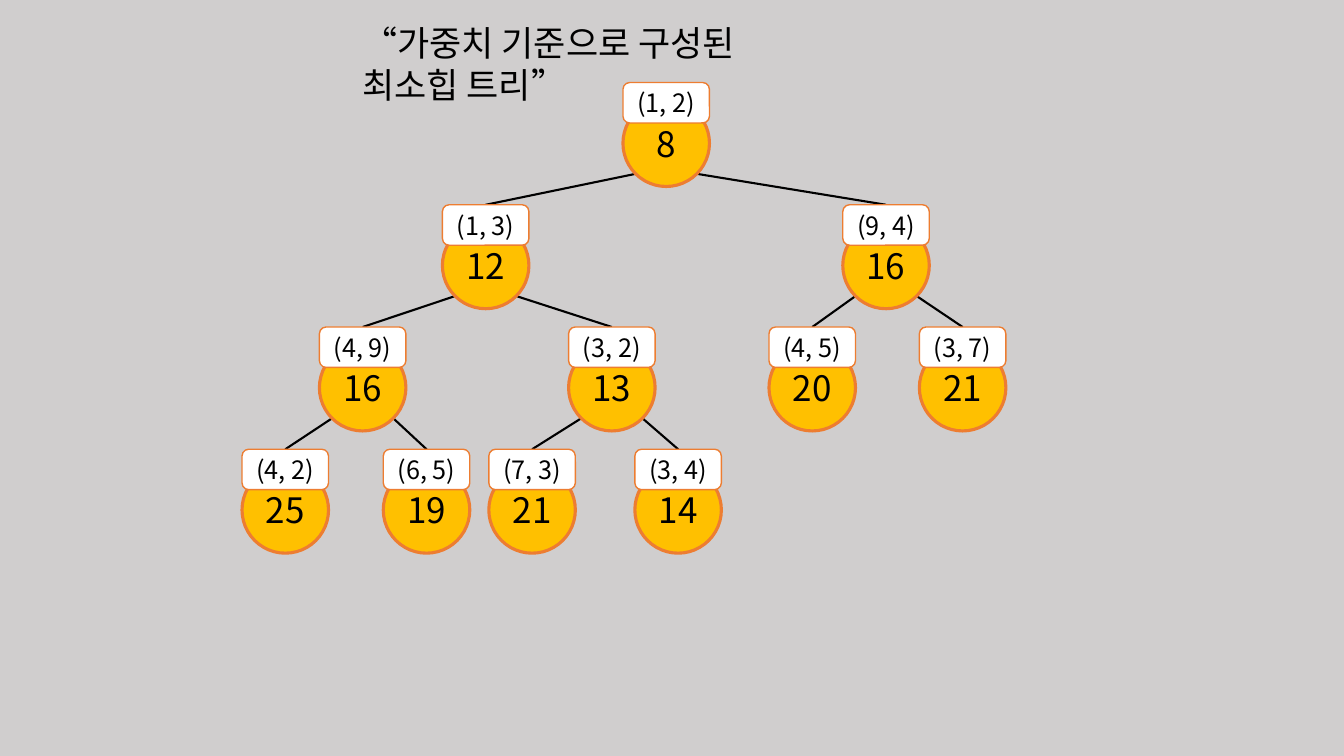
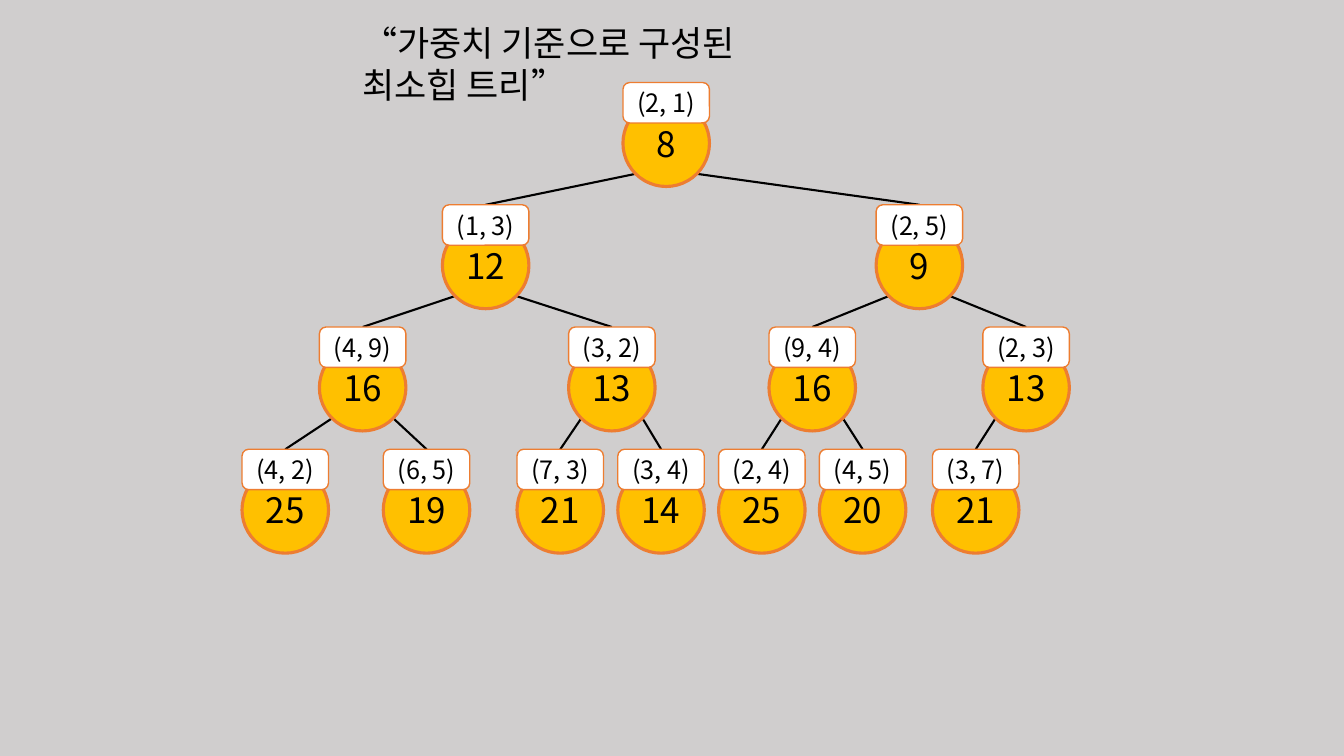
from math import cos, pi

from lxml import etree
from pptx import Presentation
from pptx.dml.color import RGBColor
from pptx.enum.shapes import MSO_CONNECTOR, MSO_SHAPE
from pptx.enum.text import MSO_ANCHOR, PP_ALIGN
from pptx.oxml.ns import qn
from pptx.util import Cm, Pt

LINE = MSO_CONNECTOR.STRAIGHT
CIRCLE = MSO_SHAPE.OVAL
TAG = MSO_SHAPE.ROUNDED_RECTANGLE
MIDDLE = MSO_ANCHOR.MIDDLE
LEFT = PP_ALIGN.LEFT
CENTER = PP_ALIGN.CENTER

GRAY = RGBColor(0xD0, 0xCE, 0xCE)
BLACK = RGBColor(0, 0, 0)
WHITE = RGBColor(0xFF, 0xFF, 0xFF)
GOLD = RGBColor(0xFF, 0xC0, 0x00)
ORANGE = RGBColor(0xED, 0x7D, 0x31)

FONT = "Noto Sans CJK KR"
TITLE = "“가중치 기준으로 구성된 최소힙 트리”"

FIRST_TOP = 2.08
LEVEL_STEP = 3.08
DIAMETER = 2.18
TAG_HEIGHT = 1.02
CIRCLE_DROP = 0.44
EDGE_REACH = DIAMETER / 2 * cos(pi / 4)

LEAF_START = 14.12
LEAF_STEP = 2.54

FIRST_HEAP = [
    (16.79, 8, (1, 2)),
    (12.24, 12, (1, 3)),
    (22.33, 16, (9, 4)),
    (9.14, 16, (4, 9)),
    (15.42, 13, (3, 2)),
    (20.47, 20, (4, 5)),
    (24.26, 21, (3, 7)),
    (7.19, 25, (4, 2)),
    (10.75, 19, (6, 5)),
    (13.41, 21, (7, 3)),
    (17.09, 14, (3, 4)),
]
LEAVES = [(21, (7, 3)), (14, (3, 4)), (25, (2, 4)), (20, (4, 5))]
SECOND_HEAP = [
    (16.79, 8, (2, 1)),
    FIRST_HEAP[1],
    (23.17, 9, (2, 5)),
    *FIRST_HEAP[3:5],
    (20.47, 16, (9, 4)),
    (25.86, 13, (2, 3)),
    *FIRST_HEAP[7:9],
    *[(LEAF_START + i * LEAF_STEP, *leaf) for i, leaf in enumerate(LEAVES)],
    (24.59, 21, (3, 7)),
]


def write(tf, text, size=25, color=BLACK, align=LEFT):
    tf.word_wrap = True
    p = tf.paragraphs[0]
    p.alignment = align
    r = p.add_run()
    r.text = text
    r.font.size = Pt(size)
    r.font.name = FONT
    r.font.color.rgb = color
    ea = etree.SubElement(r.font._element, qn("a:ea"))
    ea.set("typeface", FONT)


def level_top(index):
    return FIRST_TOP + LEVEL_STEP * ((index + 1).bit_length() - 1)


class Deck:
    def __init__(self):
        self.prs = Presentation()
        self.prs.slide_width = Cm(33.87)
        self.prs.slide_height = Cm(19.05)
        self.s = None

    def slide(self):
        self.s = self.prs.slides.add_slide(self.prs.slide_layouts[6])
        fill = self.s.background.fill
        fill.solid()
        fill.fore_color.rgb = GRAY

    def title(self, text):
        sp = self.s.shapes.add_textbox(Cm(8.89), Cm(0.43), Cm(12.09), Cm(1.32))
        write(sp.text_frame, text)

    def edge(self, x1, y1, x2, y2):
        cx = self.s.shapes.add_connector(LINE, Cm(x1), Cm(y1), Cm(x2), Cm(y2))
        cx.line.color.rgb = BLACK
        cx.line.width = Pt(1.5)
        etree.SubElement(cx._element.spPr, qn("a:effectLst"))

    def shape(self, group, kind, x, y, height, text, fill, width, size):
        sp = group.shapes.add_shape(
            kind, Cm(x - DIAMETER / 2), Cm(y), Cm(DIAMETER), Cm(height))
        sp.shadow.inherit = False
        sp.fill.solid()
        sp.fill.fore_color.rgb = fill
        sp.line.color.rgb = ORANGE
        sp.line.width = Pt(width)
        tf = sp.text_frame
        tf.margin_left = tf.margin_right = tf.margin_top = tf.margin_bottom = 0
        tf.vertical_anchor = MIDDLE
        write(tf, text, size=size, align=CENTER)

    def node(self, x, y, weight, ends):
        group = self.s.shapes.add_group_shape()
        self.shape(group, CIRCLE, x, y + CIRCLE_DROP, DIAMETER, str(weight),
                   GOLD, 2.25, 25)
        self.shape(group, TAG, x, y, TAG_HEIGHT, str(ends), WHITE, 1, 18)

    def heap(self, nodes):
        for i in range(1, len(nodes)):
            parent = (i - 1) // 2
            side = -1 if i % 2 else 1
            center_y = level_top(parent) + CIRCLE_DROP + DIAMETER / 2
            self.edge(nodes[parent][0] + side * EDGE_REACH,
                      center_y + EDGE_REACH, nodes[i][0], level_top(i))
        for i, (x, weight, ends) in enumerate(nodes):
            self.node(x, level_top(i), weight, ends)


def main():
    deck = Deck()
    for nodes in (FIRST_HEAP, SECOND_HEAP):
        deck.slide()
        deck.title(TITLE)
        deck.heap(nodes)
    deck.prs.save("out.pptx")


if __name__ == "__main__":
    main()
